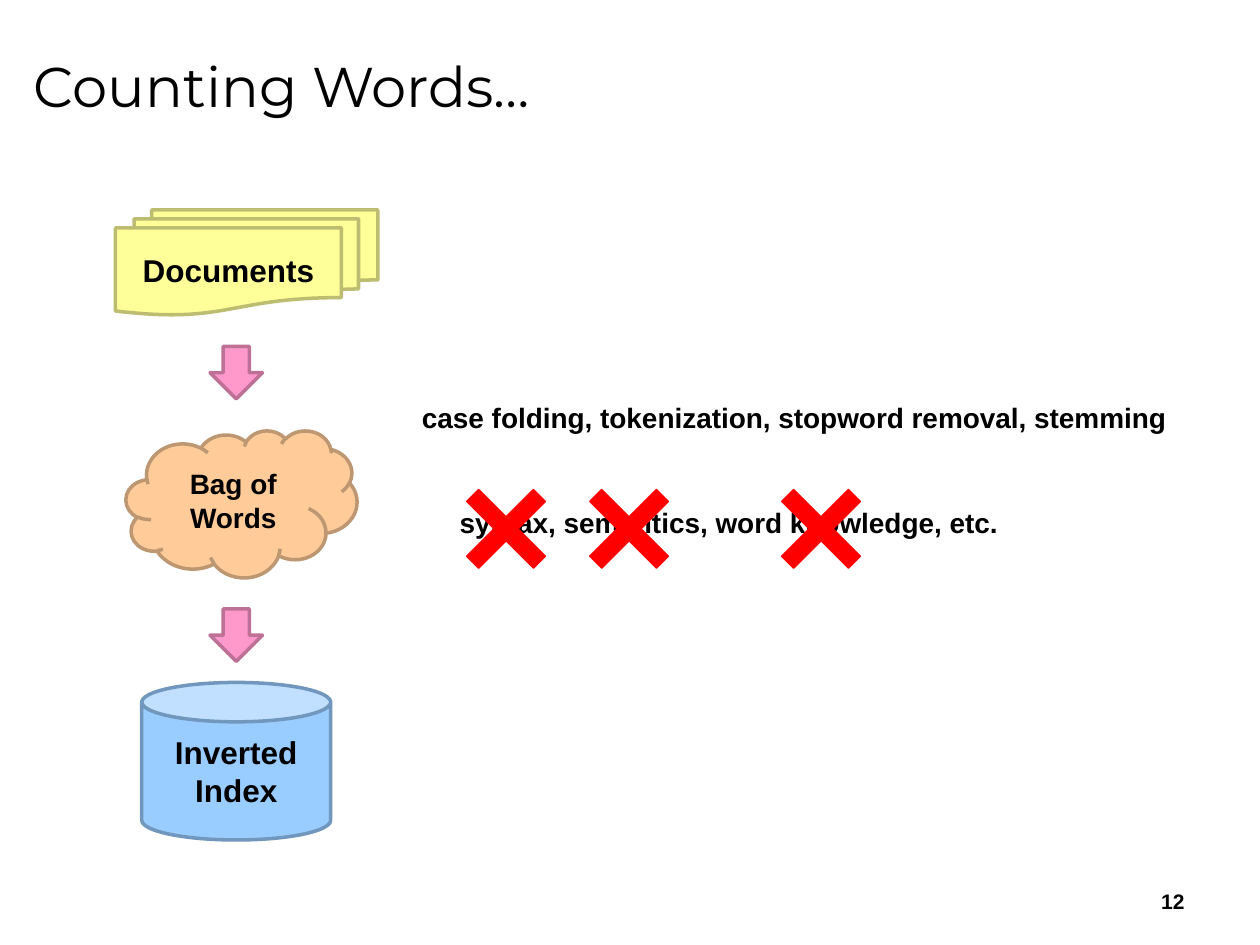
from pptx import Presentation
from pptx import util as u
from pptx.dml.color import RGBColor
from pptx.enum import shapes, text

COLOURS = {
    "ink": "000000",
    "document": "FFFF99", "document_edge": "BDBD71",
    "cloud": "FFCC99", "cloud_edge": "BD9771",
    "index": "99CCFF", "index_edge": "7197BD",
    "arrow": "FF99CC", "arrow_edge": "BD7197",
    "cross": "FF0000",
}
KIND = shapes.MSO_SHAPE
ALIGN = text.PP_ALIGN


def colour(name):
    return RGBColor.from_string(COLOURS[name])


def write(box, words, size=16, face="Arial", bold=True, align=ALIGN.LEFT,
          anchor=text.MSO_ANCHOR.MIDDLE, wrap=False):
    """Fill a shape with formatted text, one paragraph a line."""
    frame = box.text_frame
    frame.auto_size = text.MSO_AUTO_SIZE.NONE
    frame.word_wrap = wrap
    frame.vertical_anchor = anchor
    for number, line in enumerate(words.split("\n")):
        para = frame.paragraphs[0] if number == 0 else frame.add_paragraph()
        para.alignment = align
        span = para.add_run()
        span.text = line
        span.font.name = face
        span.font.size = u.Pt(size)
        span.font.bold = bold
        span.font.color.rgb = colour("ink")


def place(left, top, width, height):
    return [u.Pt(length) for length in (left, top, width, height)]


def add_figure(page, kind, area, fill, edge, weight=2, turn=0, adjust=None):
    figure = page.shapes.add_shape(kind, *place(*area))
    figure.shadow.inherit = False
    figure.rotation = turn
    figure.fill.solid()
    figure.fill.fore_color.rgb = colour(fill)
    figure.line.color.rgb = colour(edge)
    figure.line.width = u.Pt(weight)
    if adjust is not None:
        figure.adjustments[0] = adjust
    return figure


def add_label(page, area, words, **style):
    write(page.shapes.add_textbox(*place(*area)), words, **style)


def add_title(page, words):
    title = page.shapes.title
    title.left, title.top, title.width, title.height = place(12, 8.6, 684, 80.6)
    write(title, words, size=32, face="Montserrat", bold=False, wrap=True)


def add_pipeline(page):
    documents = add_figure(page, KIND.FLOWCHART_MULTIDOCUMENT,
                           (66, 120, 150, 60), "document", "document_edge")
    write(documents, "Documents", size=18, align=ALIGN.CENTER)

    index = add_figure(page, KIND.CAN, (81, 390, 108, 90),
                       "index", "index_edge", adjust=0.25)
    write(index, "Inverted\nIndex", size=18, align=ALIGN.CENTER)

    bag = add_figure(page, KIND.CLOUD, (72, 246, 132, 84), "cloud", "cloud_edge")
    write(bag, "Bag of Words", align=ALIGN.CENTER, wrap=True)

    for top in (198, 348):
        add_figure(page, KIND.RIGHT_ARROW, (120, top, 30, 30),
                   "arrow", "arrow_edge", turn=90)


def add_remarks(page):
    top_anchor = text.MSO_ANCHOR.TOP
    add_label(page, (234, 225.4, 445.7, 26.6),
              "case folding, tokenization, stopword removal, stemming",
              anchor=top_anchor)
    add_label(page, (255.6, 285.4, 326.2, 26.6),
              "syntax, semantics, word knowledge, etc.", anchor=top_anchor)
    # Crosses over the ignored aspects
    for left in (262.2, 332.5, 442.2):
        add_figure(page, KIND.CROSS, (left, 275.2, 54, 54), "cross", "cross",
                   weight=0.75, turn=45, adjust=0.41)


def main():
    deck = Presentation()
    deck.slide_width, deck.slide_height = u.Pt(720), u.Pt(540)
    page = deck.slides.add_slide(deck.slide_layouts[5])
    add_title(page, "Counting Words…")
    add_pipeline(page)
    add_remarks(page)
    # Page number
    add_label(page, (516, 500.4, 168, 28.8), "12", size=12,
              align=ALIGN.RIGHT, wrap=True)
    deck.save("out.pptx")


if __name__ == "__main__":
    main()
